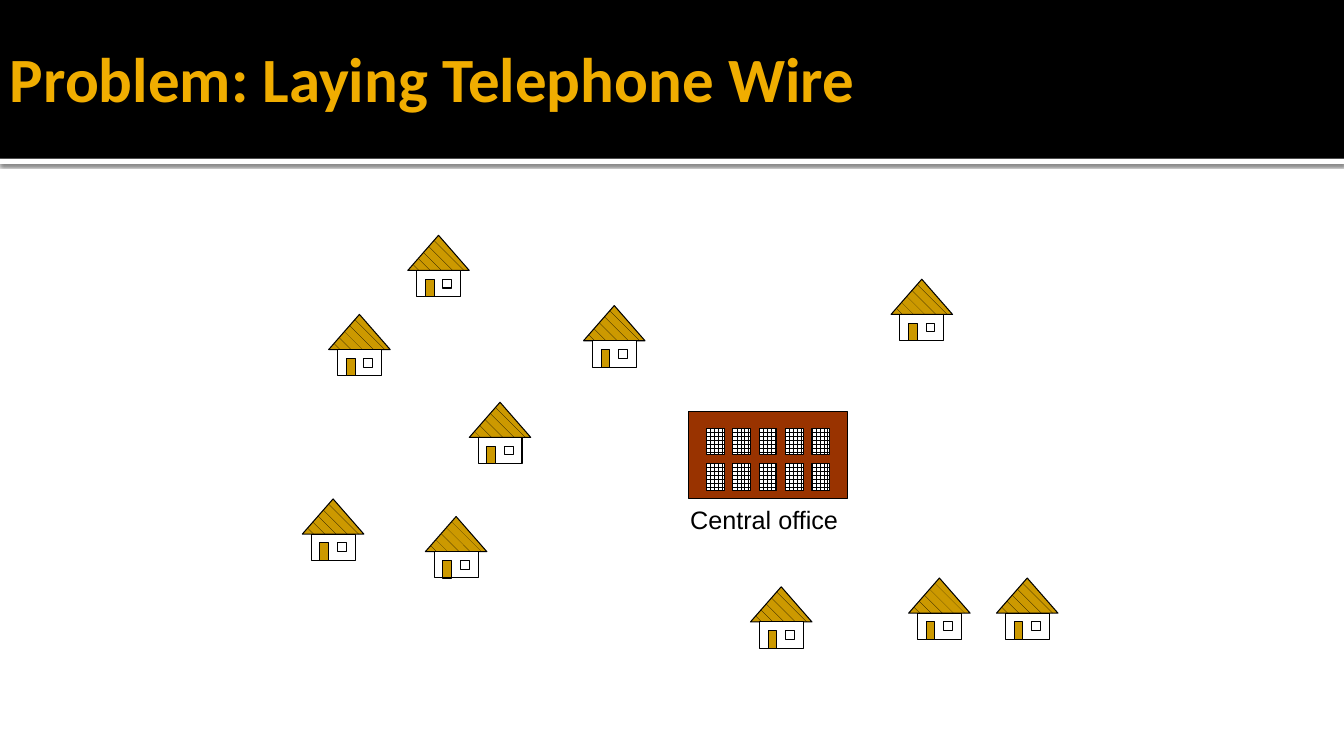
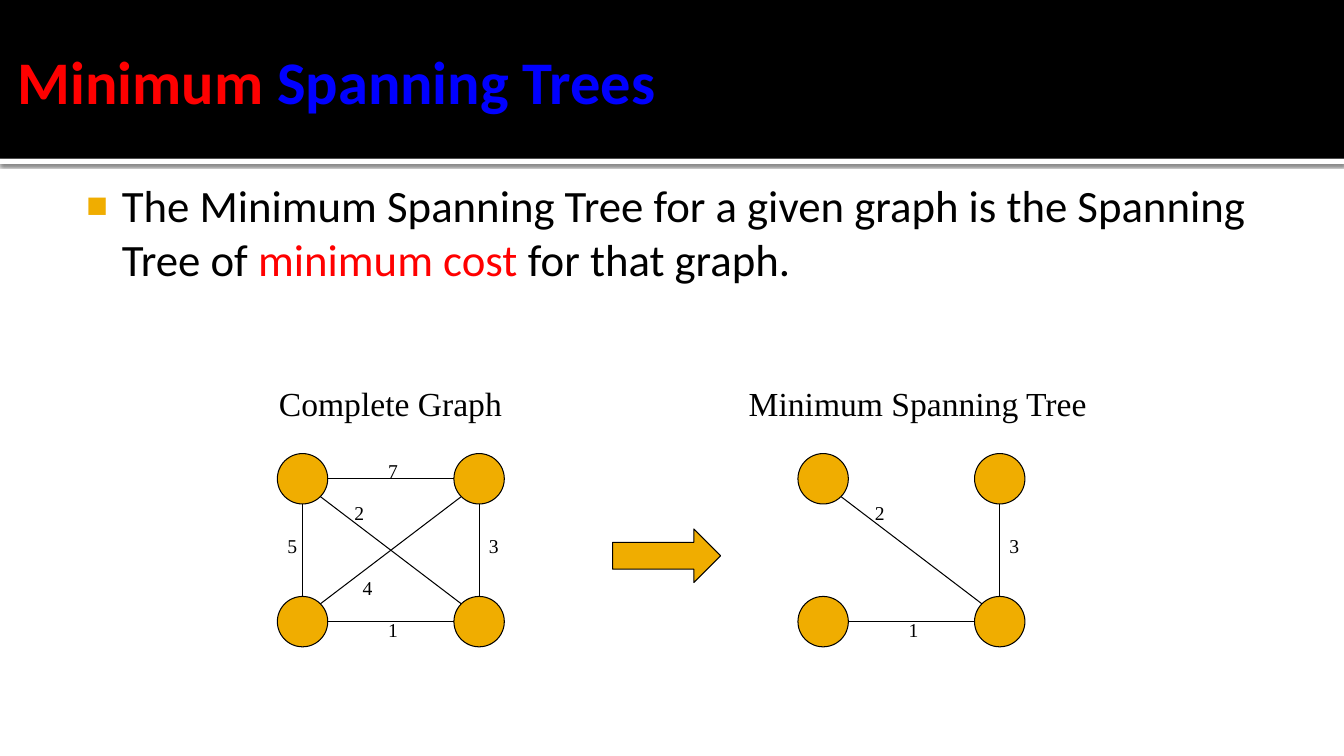
"""Build two slides on minimum spanning trees."""
from dataclasses import dataclass
from math import copysign, sqrt
from typing import Any, Optional, Union

from lxml import etree
from pptx import Presentation
from pptx import util as u
from pptx.dml import color
from pptx.enum import dml, shapes, text
from pptx.oxml import ns
from pptx.shapes import shapetree

Canvas = Union[shapetree.SlideShapes, shapetree.GroupShapes]

BLACK, WHITE, GOLD, RED, BLUE = "000000", "FFFFFF", "F0AD00", "FF0000", "0000FF"
OCHRE, BRICK = "CC9900", "993300"
SLIDE_WIDTH, SLIDE_HEIGHT = 33.87, 19.05
BAND_HEIGHT, STRIP_HEIGHT = 4.0, 0.13

CELL = 3.1 / 14
MAP_LEFT, MAP_TOP = 7.62, 5.93
HOUSES = [(0, 30), (51, 40), (32, 8), (67, 5), (19, 19),
          (3, 9), (12, 0), (14, 32), (79, 39), (69, 39)]
OFFICE = (44, 20)

NODE_SIZE, COLUMN_STEP, ROW_STEP = 1.27, 4.45, 3.6
GRAPH_TOP, CAPTION_TOP = 11.43, 9.53
NODES = [(0, 0), (1, 0), (0, 1), (1, 1)]


@dataclass(frozen=True)
class Box:
    """A rectangle in centimetres."""
    left: float
    top: float
    width: float
    height: float

    def lengths(self) -> list[u.Length]:
        """Return left, top, width and height as lengths."""
        return [u.Cm(side) for side in (self.left, self.top, self.width, self.height)]


@dataclass(frozen=True)
class Paint:
    """A solid fill, or a black pattern on a ground colour."""
    ground: str
    pattern: Optional[dml.MSO_PATTERN_TYPE] = None


@dataclass(frozen=True)
class Run:
    """A stretch of text with its look."""
    words: str
    size: float
    font: str = "Calibri"
    tint: str = BLACK
    bold: bool = False


@dataclass(frozen=True)
class Edge:
    """A weighted edge, with its label placed relative to the graph."""
    start: int
    end: int
    weight: str
    label_x: float
    label_y: float
    in_tree: bool = False


@dataclass(frozen=True)
class Graph:
    """A captioned graph; the caption is placed relative to its left side."""
    caption: str
    left: float
    caption_shift: float
    caption_width: float
    tree_only: bool


ROOF = Paint(OCHRE, dml.MSO_PATTERN.SHINGLE)
PANE = Paint(WHITE, dml.MSO_PATTERN.LARGE_GRID)
HOUSE_PARTS = [
    (shapes.MSO_SHAPE.ISOSCELES_TRIANGLE, (0, 0, 7, 4), ROOF),
    (shapes.MSO_SHAPE.RECTANGLE, (1, 4, 5, 3), Paint(WHITE)),
    (shapes.MSO_SHAPE.RECTANGLE, (2, 5, 1, 2), Paint(OCHRE)),
    (shapes.MSO_SHAPE.RECTANGLE, (4, 5, 1, 1), None),
]
OFFICE_PARTS = [(shapes.MSO_SHAPE.RECTANGLE, (0, 0, 18, 10), Paint(BRICK))] + [
    (shapes.MSO_SHAPE.RECTANGLE, (2 + 3 * column, 2 + 4 * row, 2, 3), PANE)
    for row in range(2) for column in range(5)
]
EDGES = [
    Edge(0, 1, "7", 2.54, 0),
    Edge(0, 2, "5", 0, 1.9),
    Edge(2, 3, "1", 2.54, 4.02, True),
    Edge(1, 3, "3", 5.08, 1.9, True),
    Edge(1, 2, "4", 1.9, 2.96),
    Edge(0, 3, "2", 1.69, 1.06, True),
]
GRAPHS = [
    Graph("Complete Graph", 6.99, -0.21, 6.12, False),
    Graph("Minimum Spanning Tree", 20.11, -1.49, 9.07, True),
]


def rgb(code: str) -> color.RGBColor:
    """Turn a hex string into a colour."""
    return color.RGBColor.from_string(code)


def set_format(target: Any, values: dict[str, Any]) -> None:
    """Set each named attribute of the target."""
    for name, value in values.items():
        setattr(target, name, value)


def add_figure(canvas: Canvas, preset: shapes.MSO_SHAPE, box: Box,
               paint: Optional[Paint], outlined: bool = True) -> Any:
    """Draw a preset shape without a theme shadow."""
    figure = canvas.add_shape(preset, *box.lengths())
    figure.shadow.inherit = False
    if paint is None:
        figure.fill.background()
    elif paint.pattern is None:
        figure.fill.solid()
        figure.fill.fore_color.rgb = rgb(paint.ground)
    else:
        figure.fill.patterned()
        figure.fill.pattern = paint.pattern
        figure.fill.fore_color.rgb = rgb(BLACK)
        figure.fill.back_color.rgb = rgb(paint.ground)
    if outlined:
        figure.line.color.rgb = rgb(BLACK)
        figure.line.width = u.Pt(0.75)
    else:
        figure.line.fill.background()
    return figure


def write_runs(paragraph: Any, runs: list[Run]) -> None:
    """Write the runs into a paragraph."""
    for run in runs:
        piece = paragraph.add_run()
        piece.text = run.words
        set_format(piece.font, {"size": u.Pt(run.size), "name": run.font, "bold": run.bold})
        piece.font.color.rgb = rgb(run.tint)


def add_label(canvas: Canvas, box: Box, run: Run) -> None:
    """Add a one-line text that fits its box."""
    frame = canvas.add_textbox(*box.lengths()).text_frame
    set_format(frame, {"word_wrap": False, "auto_size": text.MSO_AUTO_SIZE.SHAPE_TO_FIT_TEXT})
    write_runs(frame.paragraphs[0], [run])


def add_band(slide: Any) -> None:
    """Put the black title band and its shadowed strip on the slide's layout."""
    strip = add_figure(slide.shapes, shapes.MSO_SHAPE.RECTANGLE,
                       Box(0, BAND_HEIGHT, SLIDE_WIDTH, STRIP_HEIGHT), Paint(WHITE), False)
    effects = strip.element.spPr.find(ns.qn("a:effectLst"))
    shadow = etree.SubElement(effects, ns.qn("a:outerShdw"), blurRad=str(u.Pt(2.5)),
                              dist=str(u.Pt(0.8)), dir="5400000", algn="t", rotWithShape="0")
    tint = etree.SubElement(shadow, ns.qn("a:srgbClr"), val=BLACK)
    etree.SubElement(tint, ns.qn("a:alpha"), val="60000")
    band = add_figure(slide.shapes, shapes.MSO_SHAPE.RECTANGLE,
                      Box(0, 0, SLIDE_WIDTH, BAND_HEIGHT), Paint(BLACK), False)
    for position, part in enumerate((strip, band), start=2):
        slide.slide_layout.shapes.element.insert(position, part.element)


def set_title(slide: Any, box: Box, runs: list[Run]) -> None:
    """Place and write the slide title."""
    title = slide.shapes.title
    set_format(title, dict(zip(("left", "top", "width", "height"), box.lengths())))
    frame = title.text_frame
    set_format(frame, {
        "vertical_anchor": text.MSO_ANCHOR.MIDDLE, "word_wrap": True,
        "auto_size": text.MSO_AUTO_SIZE.NONE, "margin_left": u.Cm(0.25),
        "margin_right": u.Cm(0.13), "margin_top": u.Cm(0.13), "margin_bottom": u.Cm(0.13),
    })
    frame.paragraphs[0].alignment = text.PP_ALIGN.LEFT
    write_runs(frame.paragraphs[0], runs)


def map_box(column: int, row: int, width: int, height: int) -> Box:
    """Turn map cells into a box."""
    return Box(MAP_LEFT + column * CELL, MAP_TOP + row * CELL, width * CELL, height * CELL)


def add_building(slide: Any, place: tuple[int, int], parts: list[tuple]) -> None:
    """Draw a building as one group of parts."""
    building = slide.shapes.add_group_shape().shapes
    for preset, (column, row, width, height), paint in parts:
        add_figure(building, preset,
                   map_box(place[0] + column, place[1] + row, width, height), paint)


def add_statement(slide: Any) -> None:
    """Add the bulleted definition."""
    frame = slide.shapes.add_textbox(*Box(1.7, 4.24, 30.48, 3.18).lengths()).text_frame
    set_format(frame, {"word_wrap": True, "margin_left": u.Cm(0.15), "margin_top": u.Cm(0.25),
                       "margin_right": u.Cm(0.25), "margin_bottom": u.Cm(0.13)})
    definition = frame.paragraphs[0]
    write_runs(definition, [
        Run("The Minimum Spanning Tree for a given graph is the Spanning Tree of ", 32),
        Run("minimum cost ", 32, tint=RED),
        Run("for that graph.", 32),
    ])
    layout = definition._p.get_or_add_pPr()
    layout.set("marL", str(u.Cm(1.22)))
    layout.set("indent", str(u.Cm(-0.89)))
    tint = etree.SubElement(layout, ns.qn("a:buClr"))
    etree.SubElement(tint, ns.qn("a:srgbClr"), val=GOLD)
    etree.SubElement(layout, ns.qn("a:buSzPct"), val="80000")
    etree.SubElement(layout, ns.qn("a:buFont"), typeface="Arial")
    etree.SubElement(layout, ns.qn("a:buChar"), char="■")


def add_edge(canvas: Canvas, start: tuple[float, float], end: tuple[float, float]) -> None:
    """Draw a line between the rims of two nodes, given their centres."""
    spans = [far - near for near, far in zip(start, end)]
    reach = NODE_SIZE / 2 / (sqrt(2) if all(spans) else 1)
    shifts = [copysign(reach, span) if span else 0 for span in spans]
    rims = [near + shift for near, shift in zip(start, shifts)]
    rims += [far - shift for far, shift in zip(end, shifts)]
    line = canvas.add_connector(shapes.MSO_CONNECTOR.STRAIGHT, *map(u.Cm, rims))
    line.line.color.rgb = rgb(BLACK)
    line.line.width = u.Pt(0.75)
    etree.SubElement(line.element.spPr, ns.qn("a:effectLst"))


def add_graph(slide: Any, graph: Graph) -> None:
    """Draw a graph with its weights and caption."""
    canvas = slide.shapes.add_group_shape().shapes
    corners = [(graph.left + column * COLUMN_STEP, GRAPH_TOP + row * ROW_STEP)
               for column, row in NODES]
    for left, top in corners:
        add_figure(canvas, shapes.MSO_SHAPE.OVAL,
                   Box(left, top, NODE_SIZE, NODE_SIZE), Paint(GOLD))
    centres = [(left + NODE_SIZE / 2, top + NODE_SIZE / 2) for left, top in corners]
    for edge in EDGES:
        if edge.in_tree or not graph.tree_only:
            add_edge(canvas, centres[edge.start], centres[edge.end])
            add_label(canvas, Box(graph.left + edge.label_x, GRAPH_TOP + edge.label_y, 0.76, 0.84),
                      Run(edge.weight, 14, "Times New Roman"))
    add_label(canvas,
              Box(graph.left + graph.caption_shift, CAPTION_TOP, graph.caption_width, 1.27),
              Run(graph.caption, 24, "Times New Roman"))


def draw_wire_slide(slide: Any) -> None:
    """Draw the houses around the central office."""
    set_title(slide, Box(0, 0.2, 30.48, 3.48),
              [Run("Problem: Laying Telephone Wire", 45, tint=GOLD, bold=True)])
    for house in HOUSES:
        add_building(slide, house, HOUSE_PARTS)
    add_building(slide, OFFICE, OFFICE_PARTS)
    add_label(slide.shapes, map_box(OFFICE[0] - 1, OFFICE[1] + 10, 20, 5),
              Run("Central office", 18, "Arial"))


def draw_tree_slide(slide: Any) -> None:
    """Draw the definition and the graph beside its tree."""
    set_title(slide, Box(0.2, 0.43, 30.48, 3.18),
              [Run("Minimum ", 43.2, tint=RED, bold=True),
               Run("Spanning Trees", 43.2, tint=BLUE, bold=True)])
    add_statement(slide)
    for graph in GRAPHS:
        add_graph(slide, graph)
    add_figure(slide.shapes, shapes.MSO_SHAPE.RIGHT_ARROW,
               Box(15.44, 13.33, 2.72, 1.35), Paint(GOLD))


def main() -> None:
    """Build and save the presentation."""
    deck = Presentation()
    set_format(deck, {"slide_width": u.Cm(SLIDE_WIDTH), "slide_height": u.Cm(SLIDE_HEIGHT)})
    title_only = deck.slide_layouts[5]
    wire, tree = [deck.slides.add_slide(title_only) for _ in range(2)]
    add_band(wire)
    draw_wire_slide(wire)
    draw_tree_slide(tree)
    deck.save("out.pptx")


if __name__ == "__main__":
    main()
